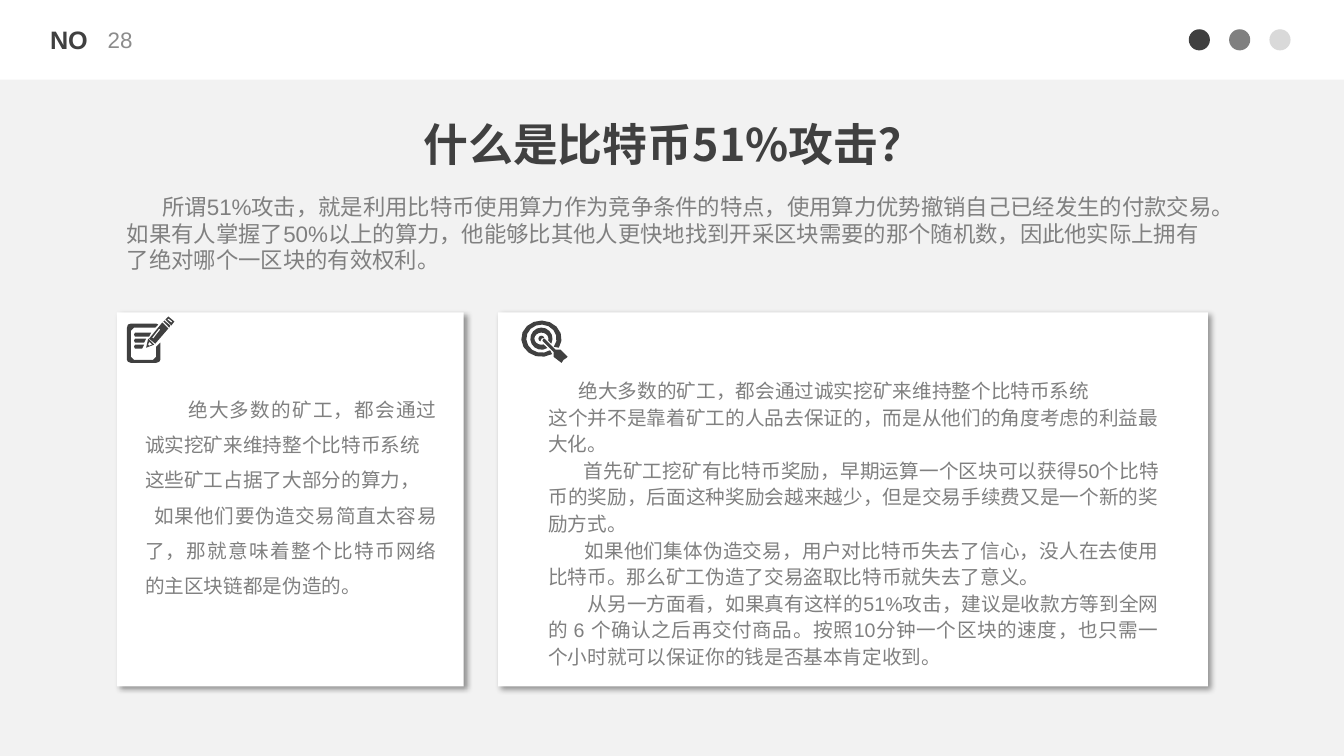
import math
import pptx
import pptx.dml.color
import pptx.enum.shapes
import pptx.enum.text
import pptx.oxml
import pptx.oxml.ns
import pptx.util
from pptx.util import Inches

COLORS = {
    "background": "F2F2F2",
    "white": "FFFFFF",
    "dark": "404040",
    "middle": "808080",
    "light": "D9D9D9",
    "number": "8C8C8C",
}
SHAPES = pptx.enum.shapes.MSO_SHAPE
ALIGN = pptx.enum.text.PP_ALIGN
ANCHOR = pptx.enum.text.MSO_ANCHOR
NAMESPACE = pptx.oxml.ns.nsdecls("a")
SHADOW = (
    f'<a:effectLst {NAMESPACE}><a:outerShdw blurRad="50800" dist="38100" dir="2700000" '
    'algn="tl" rotWithShape="0"><a:srgbClr val="000000"><a:alpha val="40000"/></a:srgbClr>'
    "</a:outerShdw></a:effectLst>"
)


def arc(across, down, start, end, steps=14):
    angles = [math.radians(start + (end - start) * step / steps) for step in range(steps + 1)]
    return [(5.37 + across * math.cos(angle), 3.36 + down * math.sin(angle))
            for angle in angles]


class SlideBuilder:
    latin = "Arial"
    east_asian = "Noto Sans CJK SC"

    def __init__(self, slide):
        self.slide = slide
        background = slide.background.fill
        background.solid()
        background.fore_color.rgb = self.rgb("background")

    def rgb(self, color):
        return pptx.dml.color.RGBColor.from_string(COLORS[color])

    def paint(self, shape, color):
        shape.shadow.inherit = False
        shape.fill.solid()
        shape.fill.fore_color.rgb = self.rgb(color)
        shape.line.fill.background()
        return shape

    def block(self, kind, left, top, width, height, color):
        shape = self.slide.shapes.add_shape(
            kind, Inches(left), Inches(top), Inches(width), Inches(height))
        return self.paint(shape, color)

    def card(self, left, top, width, height):
        card = self.block(SHAPES.RECTANGLE, left, top, width, height, "white")
        properties = card._element.spPr
        properties.remove(properties.find(pptx.oxml.ns.qn("a:effectLst")))
        properties.append(pptx.oxml.parse_xml(SHADOW))

    def icon(self, contours):
        builder = None
        for contour in contours:
            start, *rest = [(Inches(x), Inches(y)) for x, y in contour]
            if builder is None:
                builder = self.slide.shapes.build_freeform(*start, scale=1.0)
            else:
                builder.move_to(*start)
            builder.add_line_segments(rest, close=True)
        self.paint(builder.convert_to_shape(), "dark")

    def text(self, left, top, width, height, lines, size, color="middle", bold=False,
             align=ALIGN.LEFT, spacing=None, font=None, wrap=True, anchor=ANCHOR.TOP):
        box = self.slide.shapes.add_textbox(
            Inches(left), Inches(top), Inches(width), Inches(height))
        frame = box.text_frame
        frame.word_wrap = wrap
        frame.vertical_anchor = anchor
        for index, (indent, words) in enumerate(lines):
            paragraph = frame.paragraphs[0] if index == 0 else frame.add_paragraph()
            paragraph.text = words
            paragraph.alignment = align
            if spacing:
                paragraph.line_spacing = spacing
            if indent:
                paragraph._p.get_or_add_pPr().set("indent", str(Inches(indent)))
            paragraph.font.size = pptx.util.Pt(size)
            paragraph.font.bold = bold
            paragraph.font.color.rgb = self.rgb(color)
            paragraph.font.name = font or self.latin
            latin = paragraph._p.pPr.find(".//" + pptx.oxml.ns.qn("a:latin"))
            latin.addnext(pptx.oxml.parse_xml(
                f'<a:ea {NAMESPACE} typeface="{self.east_asian}"/>'))

    def note_icon(self):
        sheet = [(1.3, 3.21), (1.55, 3.21), (1.57, 3.22), (1.54, 3.25), (1.33, 3.25),
                 (1.3, 3.28), (1.3, 3.54), (1.33, 3.57), (1.52, 3.57), (1.55, 3.54),
                 (1.55, 3.44), (1.59, 3.4), (1.59, 3.57), (1.58, 3.59), (1.55, 3.6),
                 (1.3, 3.6), (1.27, 3.59), (1.26, 3.57), (1.26, 3.25), (1.27, 3.22)]
        lines = [[(1.34, top), (right, top), (right - 0.02, top + 0.04),
                  (1.34, top + 0.04), (1.33, top + 0.02)]
                 for top, right in ((3.3, 1.5), (3.36, 1.45), (3.42, 1.43))]
        tip = [(1.47, 3.36), (1.53, 3.42), (1.45, 3.45)]
        tip_hole = [(1.48, 3.39), (1.51, 3.42), (1.48, 3.43), (1.47, 3.42)]
        body = [(1.61, 3.2), (1.67, 3.26), (1.54, 3.41), (1.48, 3.36)]
        body_slot = [(1.58, 3.26), (1.59, 3.27), (1.52, 3.36), (1.51, 3.35)]
        band = [(1.63, 3.18), (1.69, 3.23), (1.68, 3.25), (1.62, 3.19)]
        eraser = [(1.67, 3.14), (1.73, 3.19), (1.7, 3.23), (1.64, 3.17)]
        eraser_slot = [(1.67, 3.16), (1.71, 3.19), (1.7, 3.2), (1.66, 3.17)]
        self.icon([sheet, *lines, tip, tip_hole, body, body_slot, band, eraser, eraser_slot])

    def target_icon(self):
        outer_ring = arc(0.2, 0.18, 58, 390) + arc(0.15, 0.14, 395, 55)
        inner_ring = arc(0.11, 0.11, 57, 387) + arc(0.07, 0.06, 376, 72)
        bull = arc(0.03, 0.03, 110, 340, 6) + [(5.37, 3.36)]
        dart = [(5.39, 3.36), (5.4, 3.36), (5.51, 3.47), (5.56, 3.47), (5.63, 3.54),
                (5.62, 3.55), (5.59, 3.57), (5.57, 3.6), (5.49, 3.54), (5.49, 3.49),
                (5.38, 3.38)]
        self.icon([outer_ring, inner_ring, bull, dart])


def main():
    deck = pptx.Presentation()
    deck.slide_width, deck.slide_height = Inches(13.33), Inches(7.5)
    page = SlideBuilder(deck.slides.add_slide(deck.slide_layouts[6]))
    exact = pptx.util.Pt(19)

    page.block(SHAPES.RECTANGLE, 0, 0, 13.33, 0.79, "white")
    for index, shade in enumerate(("dark", "middle", "light")):
        page.block(SHAPES.OVAL, 11.79 + 0.4 * index, 0.29, 0.21, 0.21, shade)
    page.text(0.39, 0.19, 0.58, 0.4, [(0, "NO")], 18, "dark", bold=True,
              align=ALIGN.RIGHT, wrap=False)
    page.text(0.97, 0.19, 0.71, 0.4, [(0, "28")], 16, "number", anchor=ANCHOR.MIDDLE)

    page.text(3.95, 1.11, 5.46, 0.64, [(0, "什么是比特币51%攻击？")], 32, "dark",
              bold=True, align=ALIGN.CENTER, font=page.east_asian)
    page.text(1.16, 1.87, 11.02, 0.9, [
        (0.35, "所谓51%攻击，就是利用比特币使用算力作为竞争条件的特点，使用算力优势撤销自己已经发生的付款交易。"
               "如果有人掌握了50%以上的算力，他能够比其他人更快地找到开采区块需要的那个随机数，"
               "因此他实际上拥有了绝对哪个一区块的有效权利。"),
    ], 16, spacing=exact)

    page.card(1.16, 3.1, 3.44, 3.71)
    page.note_icon()
    page.text(1.34, 3.78, 3.09, 2.22, [
        (0.43, "绝大多数的矿工，都会通过诚实挖矿来维持整个比特币系统"),
        (0, "这些矿工占据了大部分的算力，"),
        (0.09, "如果他们要伪造交易简直太容易了，那就意味着整个比特币网络的主区块链都是伪造的。"),
    ], 14, align=ALIGN.JUSTIFY, spacing=1.5)

    page.card(4.94, 3.1, 7.04, 3.71)
    page.target_icon()
    page.text(5.34, 3.68, 6.25, 3.03, [
        (0.3, "绝大多数的矿工，都会通过诚实挖矿来维持整个比特币系统"),
        (0, "这个并不是靠着矿工的人品去保证的，而是从他们的角度考虑的利益最大化。"),
        (0.35, "首先矿工挖矿有比特币奖励，早期运算一个区块可以获得50个比特币的奖励，"
               "后面这种奖励会越来越少，但是交易手续费又是一个新的奖励方式。"),
        (0.36, "如果他们集体伪造交易，用户对比特币失去了信心，没人在去使用比特币。"
               "那么矿工伪造了交易盗取比特币就失去了意义。"),
        (0.39, "从另一方面看，如果真有这样的51%攻击，建议是收款方等到全网的 6 个确认之后再交付商品。"
               "按照10分钟一个区块的速度，也只需一个小时就可以保证你的钱是否基本肯定收到。"),
    ], 14, align=ALIGN.JUSTIFY, spacing=exact)

    deck.save("out.pptx")


if __name__ == "__main__":
    main()
